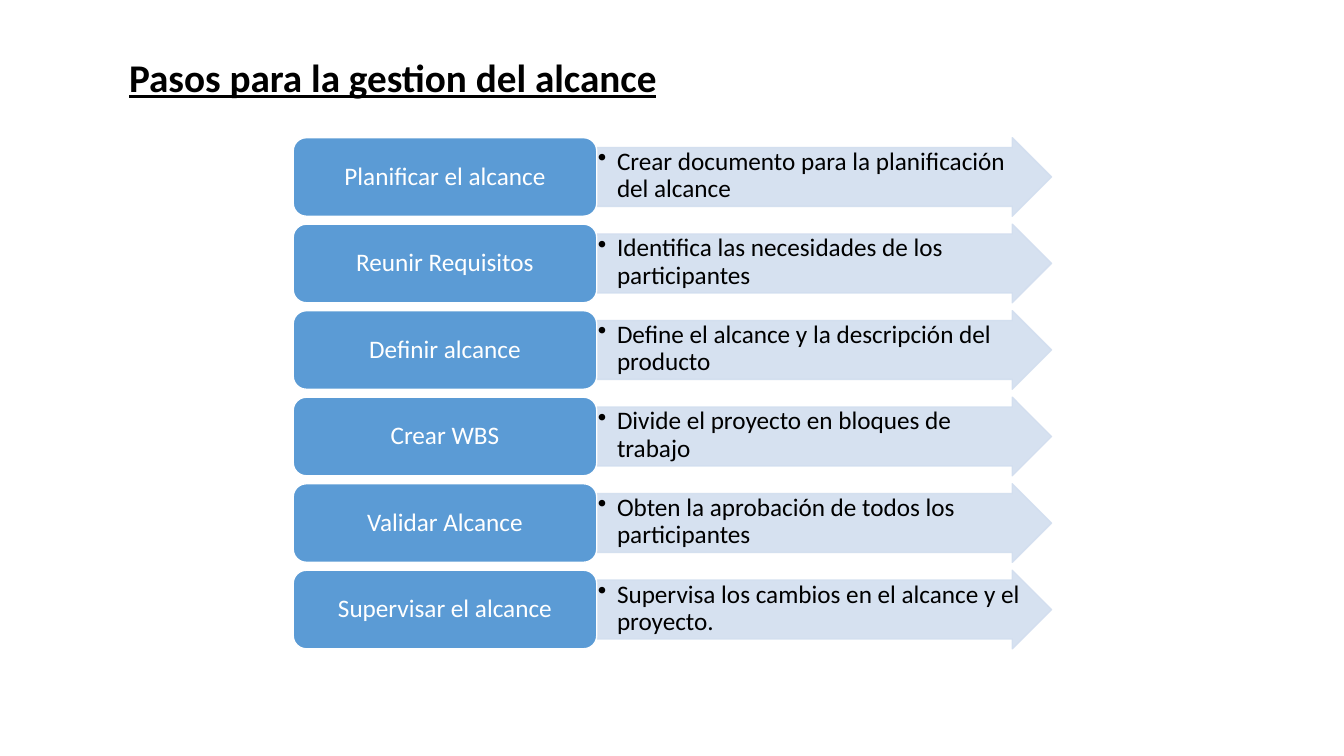
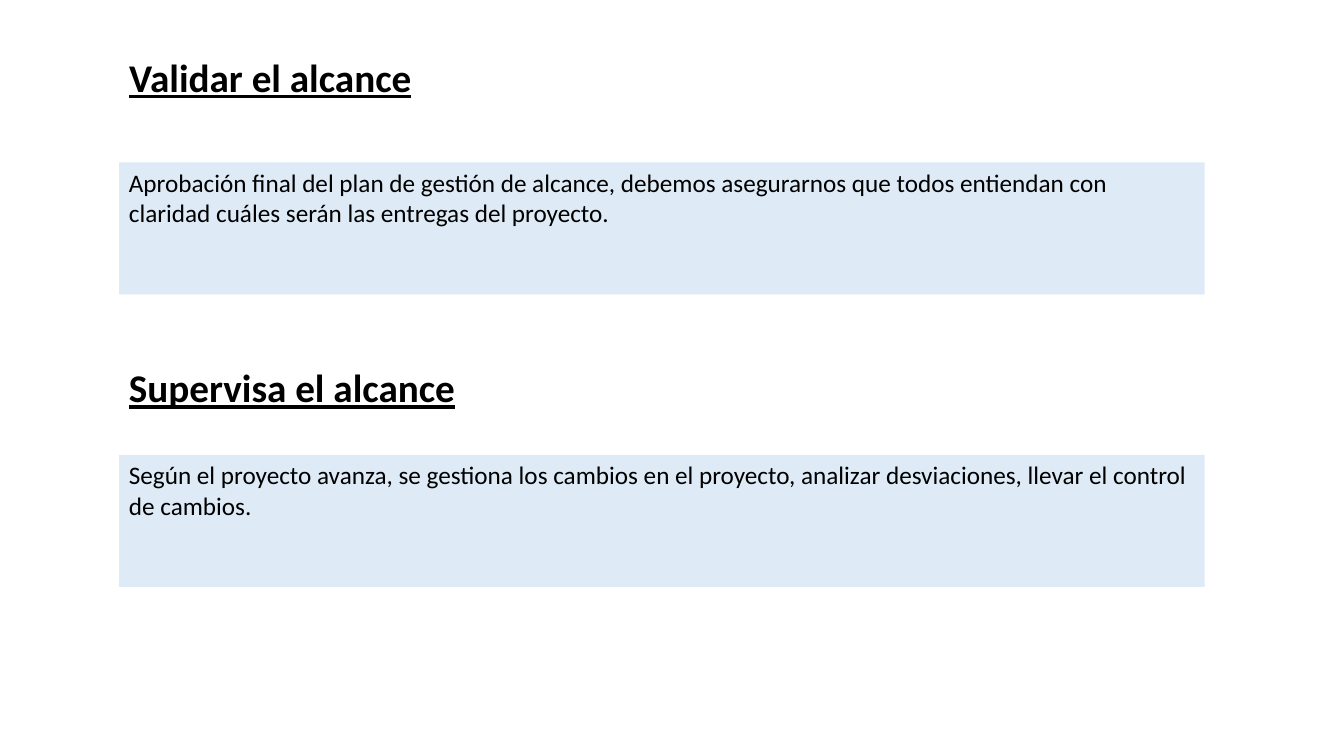
from dataclasses import dataclass

from lxml import etree
from pptx import Presentation
from pptx.dml.color import RGBColor
from pptx.enum.shapes import MSO_SHAPE
from pptx.enum.text import MSO_ANCHOR, MSO_AUTO_SIZE, PP_ALIGN
from pptx.oxml.ns import qn
from pptx.shapes.autoshape import Shape
from pptx.slide import Slide
from pptx.util import Cm, Pt

RECT, ROUND_RECT = MSO_SHAPE.RECTANGLE, MSO_SHAPE.ROUNDED_RECTANGLE
RIGHT_ARROW = MSO_SHAPE.RIGHT_ARROW
TOP, MIDDLE = MSO_ANCHOR.TOP, MSO_ANCHOR.MIDDLE
LEFT, CENTER = PP_ALIGN.LEFT, PP_ALIGN.CENTER
FIT_SHAPE = MSO_AUTO_SIZE.SHAPE_TO_FIT_TEXT

BLACK = RGBColor(0x00, 0x00, 0x00)
WHITE = RGBColor(0xFF, 0xFF, 0xFF)
STEP_BLUE = RGBColor(0x5B, 0x9B, 0xD5)
ARROW_BLUE = RGBColor(0xD2, 0xDE, 0xEF)
PANEL_BLUE = RGBColor(0xDE, 0xEB, 0xF7)

FONT = "Calibri"
TITLE_SIZE, BODY_SIZE = Pt(28), Pt(18)
TITLE_ONLY = 5
MARGIN = 3.0
STEP_LEFT, STEP_WIDTH = 7.39, 7.65
STEP_TOP, STEP_HEIGHT, STEP_PITCH = 3.47, 1.98, 2.18
ARROW_WIDTH = 11.46
BULLET_INDENT = Cm(0.48)


@dataclass(frozen=True)
class Box:
    left: float
    top: float
    width: float
    height: float

    def lengths(self) -> tuple[Cm, Cm, Cm, Cm]:
        return Cm(self.left), Cm(self.top), Cm(self.width), Cm(self.height)


@dataclass(frozen=True)
class Step:
    name: str
    detail: str


@dataclass(frozen=True)
class Section:
    heading: str
    heading_top: float
    body: str
    body_top: float


STEPS = (
    Step("Planificar el alcance", "Crear documento para la planificación del alcance"),
    Step("Reunir Requisitos", "Identifica las necesidades de los participantes"),
    Step("Definir alcance", "Define el alcance y la descripción del producto"),
    Step("Crear WBS", "Divide el proyecto en bloques de trabajo"),
    Step("Validar Alcance", "Obten la aprobación de todos los participantes"),
    Step("Supervisar el alcance", "Supervisa los cambios en el alcance y el proyecto."),
)
TITLE_TOP = 1.22
VALIDATE = Section(
    "Validar el alcance", TITLE_TOP,
    "Aprobación final del plan de gestión de alcance, debemos asegurarnos que todos "
    "entiendan con claridad cuáles serán las entregas del proyecto.", 4.09)
SUPERVISE = Section(
    "Supervisa el alcance", 9.04,
    "Según el proyecto avanza, se gestiona los cambios en el proyecto, analizar "
    "desviaciones, llevar el control de cambios.", 11.46)


def write(sp: Shape, text: str, color: RGBColor = BLACK, align: PP_ALIGN = LEFT,
          anchor: MSO_ANCHOR = TOP, heading: bool = False) -> None:
    tf = sp.text_frame
    tf.word_wrap = True
    tf.vertical_anchor = anchor
    p = tf.paragraphs[0]
    p.alignment = align
    r = p.add_run()
    r.text = text
    r.font.name = FONT
    r.font.size = TITLE_SIZE if heading else BODY_SIZE
    r.font.bold = r.font.underline = heading
    r.font.color.rgb = color


def write_heading(sp: Shape, text: str, top: float) -> None:
    sp.left, sp.top, sp.width, sp.height = Box(MARGIN, top, 16.94, 1.45).lengths()
    write(sp, text, heading=True)
    sp.text_frame.auto_size = FIT_SHAPE


def add_titled_slide(prs: Presentation, title: str) -> Slide:
    s = prs.slides.add_slide(prs.slide_layouts[TITLE_ONLY])
    write_heading(s.shapes.title, title, TITLE_TOP)
    return s


def add_block(s: Slide, kind: MSO_SHAPE, box: Box, fill: RGBColor,
              line: RGBColor | None = None) -> Shape:
    sp = s.shapes.add_shape(kind, *box.lengths())
    sp.shadow.inherit = False
    sp.fill.solid()
    sp.fill.fore_color.rgb = fill
    if line is None:
        sp.line.fill.background()
    else:
        sp.line.color.rgb = line
        sp.line.width = Pt(1)
    return sp


def set_opacity(sp: Shape, percent: int) -> None:
    for color in sp.element.spPr.iter(qn("a:srgbClr")):
        etree.SubElement(color, qn("a:alpha")).set("val", str(percent * 1000))


def set_insets(sp: Shape, across: float, down: float) -> None:
    tf = sp.text_frame
    tf.margin_left = tf.margin_right = Cm(across)
    tf.margin_top = tf.margin_bottom = Cm(down)
    tf.paragraphs[0].line_spacing = 0.9


def add_bullet(sp: Shape) -> None:
    p_pr = sp.text_frame.paragraphs[0]._p.get_or_add_pPr()
    p_pr.set("marL", str(BULLET_INDENT))
    p_pr.set("indent", str(-BULLET_INDENT))
    etree.SubElement(p_pr, qn("a:buChar")).set("char", "•")


def add_step(s: Slide, step: Step, top: float) -> None:
    arrow_box = Box(STEP_LEFT + STEP_WIDTH, top, ARROW_WIDTH, STEP_HEIGHT)
    arrow = add_block(s, RIGHT_ARROW, arrow_box, ARROW_BLUE, ARROW_BLUE)
    arrow.adjustments[0], arrow.adjustments[1] = 0.75, 0.5
    set_opacity(arrow, 90)
    add_bullet(arrow)
    set_insets(arrow, 0.03, 0.03)
    write(arrow, step.detail)

    label_box = Box(STEP_LEFT, top, STEP_WIDTH, STEP_HEIGHT)
    label = add_block(s, ROUND_RECT, label_box, STEP_BLUE, WHITE)
    set_insets(label, 0.19, 0.1)
    write(label, step.name, WHITE, CENTER, MIDDLE)


def add_panel(s: Slide, section: Section) -> None:
    panel = add_block(s, RECT, Box(MARGIN, section.body_top, 27.36, 3.33), PANEL_BLUE)
    write(panel, section.body)


def build_steps(prs: Presentation) -> None:
    s = add_titled_slide(prs, "Pasos para la gestion del alcance")
    for i, step in enumerate(STEPS):
        add_step(s, step, STEP_TOP + i * STEP_PITCH)


def build_sections(prs: Presentation) -> None:
    s = add_titled_slide(prs, VALIDATE.heading)
    add_panel(s, VALIDATE)
    heading = s.shapes.add_textbox(0, 0, 0, 0)
    write_heading(heading, SUPERVISE.heading, SUPERVISE.heading_top)
    add_panel(s, SUPERVISE)


def main() -> None:
    prs = Presentation()
    prs.slide_width, prs.slide_height = Cm(33.87), Cm(19.05)
    build_steps(prs)
    build_sections(prs)
    prs.save("out.pptx")


if __name__ == "__main__":
    main()
